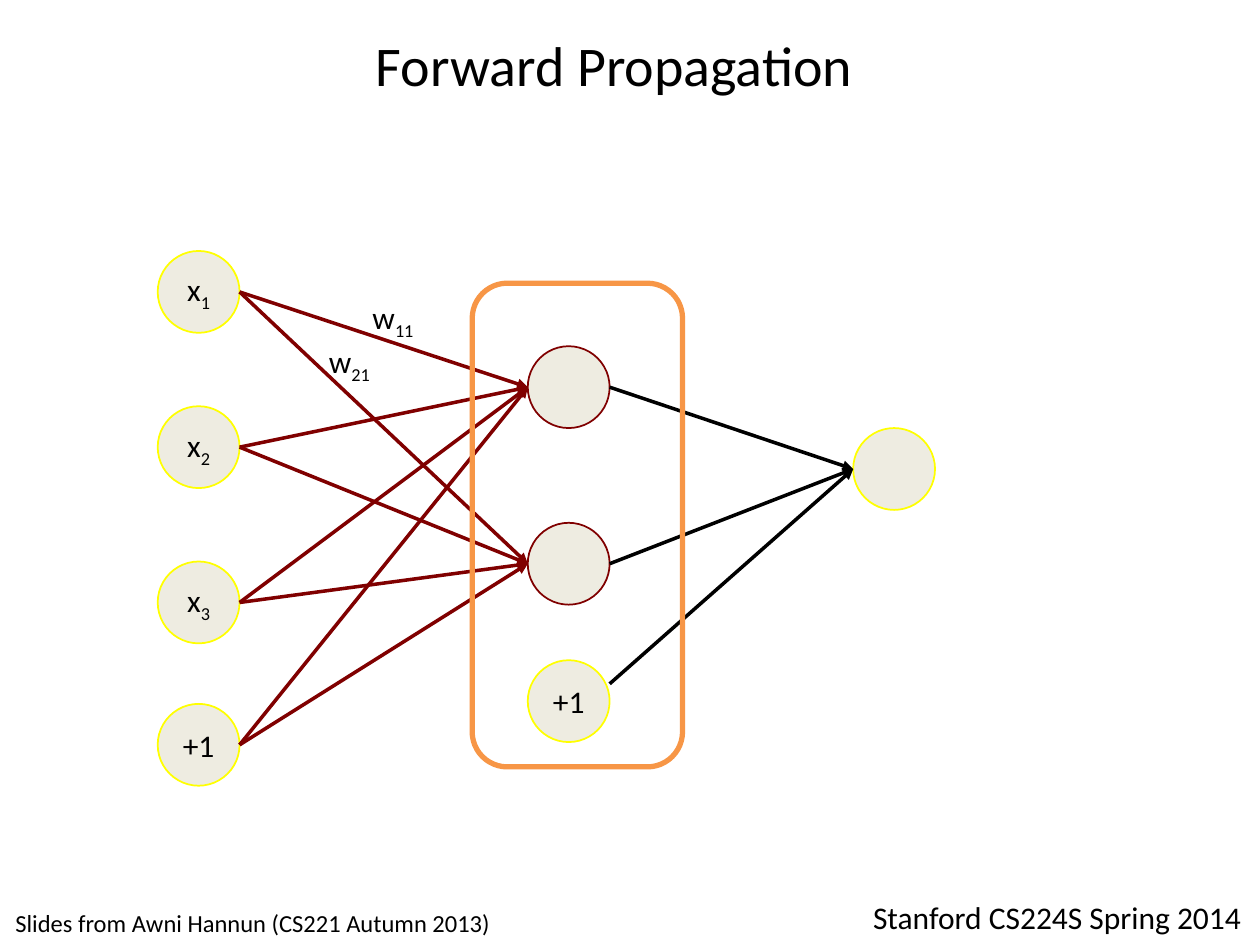
from dataclasses import dataclass

from lxml.etree import SubElement
from pptx import Presentation
from pptx.dml.color import RGBColor
from pptx.enum.shapes import MSO_CONNECTOR, MSO_SHAPE
from pptx.enum.text import MSO_ANCHOR, PP_ALIGN
from pptx.oxml.ns import qn
from pptx.util import Cm, Pt

COLORS = {
    "text": "000000",
    "node": "EEECE1",
    "outer": "FFFF00",
    "hidden": "800000",
    "output": "000000",
    "frame": "F79646",
}
DIAMETER = 1.65
INPUT_X, HIDDEN_X, OUTPUT_X = 3.18, 10.64, 17.2
BIAS_EDGE_RISE = 0.35  # the hidden bias edge leaves above the node's middle


@dataclass
class Node:
    left: float
    top: float
    line: str = "outer"
    label: str = ""
    subscript: str = ""

    @property
    def right(self) -> float:
        return self.left + DIAMETER

    @property
    def middle(self) -> float:
        return self.top + DIAMETER / 2


@dataclass
class Label:
    left: float
    top: float
    width: float
    height: float
    text: str
    subscript: str = ""
    size: int = 18
    align: PP_ALIGN = PP_ALIGN.LEFT
    anchor: MSO_ANCHOR = MSO_ANCHOR.TOP


def color(name: str) -> RGBColor:
    return RGBColor.from_string(COLORS[name])


def write(text_frame, text: str, subscript: str, size: int, align: PP_ALIGN) -> None:
    paragraph = text_frame.paragraphs[0]
    paragraph.alignment = align
    paragraph.font.name = "Calibri"
    paragraph.font.size = Pt(size)
    paragraph.font.color.rgb = color("text")
    paragraph.add_run().text = text
    if subscript:
        run = paragraph.add_run()
        run.text = subscript
        run.font._element.set("baseline", "-25000")


def draw_node(slide, node: Node) -> None:
    shape = slide.shapes.add_shape(
        MSO_SHAPE.OVAL, Cm(node.left), Cm(node.top), Cm(DIAMETER), Cm(DIAMETER)
    )
    shape.shadow.inherit = False
    shape.fill.solid()
    shape.fill.fore_color.rgb = color("node")
    shape.line.color.rgb = color(node.line)
    shape.line.width = Pt(1)
    if node.label:
        text_frame = shape.text_frame
        text_frame.margin_left = text_frame.margin_right = 0
        text_frame.vertical_anchor = MSO_ANCHOR.MIDDLE
        write(text_frame, node.label, node.subscript, 18, PP_ALIGN.CENTER)


def draw_edge(slide, start: Node, end: Node, line: str, rise: float = 0) -> None:
    connector = slide.shapes.add_connector(
        MSO_CONNECTOR.STRAIGHT,
        Cm(start.right), Cm(start.middle - rise), Cm(end.left), Cm(end.middle),
    )
    connector.line.color.rgb = color(line)
    connector.line.width = Pt(2)
    SubElement(connector.line._get_or_add_ln(), qn("a:tailEnd"), type="triangle")
    SubElement(connector._element.spPr, qn("a:effectLst"))


def draw_label(slide, label: Label) -> None:
    box = slide.shapes.add_textbox(
        Cm(label.left), Cm(label.top), Cm(label.width), Cm(label.height)
    )
    box.text_frame.word_wrap = True
    box.text_frame.vertical_anchor = label.anchor
    write(box.text_frame, label.text, label.subscript, label.size, label.align)


def draw_frame(slide) -> None:
    frame = slide.shapes.add_shape(
        MSO_SHAPE.ROUNDED_RECTANGLE, Cm(9.52), Cm(5.71), Cm(4.24), Cm(9.75)
    )
    frame.shadow.inherit = False
    frame.fill.background()
    frame.line.color.rgb = color("frame")
    frame.line.width = Pt(3)


def main() -> None:
    presentation = Presentation()
    presentation.slide_width, presentation.slide_height = Cm(25.4), Cm(19.05)
    slide = presentation.slides.add_slide(presentation.slide_layouts[6])

    # Network layers
    inputs = [
        Node(INPUT_X, 5.06 + 3.13 * index, label="x", subscript=str(index + 1))
        for index in range(3)
    ]
    inputs.append(Node(INPUT_X, 14.19, label="+1"))
    hidden = [Node(HIDDEN_X, top, "hidden") for top in (6.98, 10.54)]
    hidden_bias = Node(HIDDEN_X, 13.31, label="+1")
    output = Node(OUTPUT_X, 8.63)

    for node in [*inputs, *hidden, hidden_bias, output]:
        draw_node(slide, node)

    # Weighted edges
    for end in hidden:
        for start in inputs:
            draw_edge(slide, start, end, "hidden")
        draw_edge(slide, end, output, "output")
    draw_edge(slide, hidden_bias, output, "output", BIAS_EDGE_RISE)

    # Title, weights and footers
    labels = [
        Label(5.11, 0.38, 14.55, 1.83, "Forward Propagation", size=32,
              align=PP_ALIGN.CENTER, anchor=MSO_ANCHOR.MIDDLE),
        Label(7.26, 5.89, 1.78, 1.02, "w", "11"),
        Label(6.38, 6.78, 1.78, 1.02, "w", "21"),
        Label(0.06, 18.19, 12.04, 0.86,
              "Slides from Awni Hannun (CS221 Autumn 2013)", size=14),
        Label(17.35, 17.98, 8.05, 1.02, "Stanford CS224S Spring 2014"),
    ]
    for label in labels:
        draw_label(slide, label)

    # Frame around the hidden layer
    draw_frame(slide)
    presentation.save("out.pptx")


if __name__ == "__main__":
    main()
